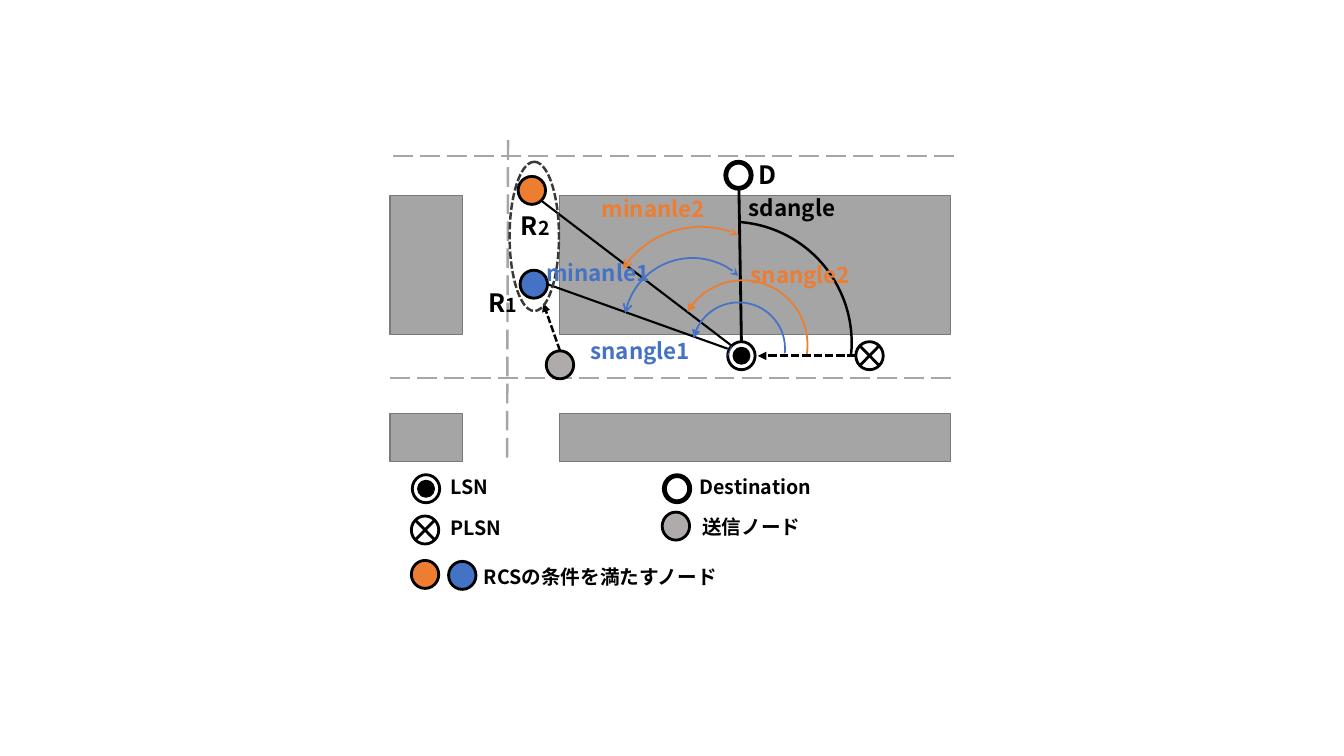
from dataclasses import dataclass

import lxml.etree
import pptx
import pptx.dml.color
import pptx.enum.dml
import pptx.enum.shapes
import pptx.enum.text
import pptx.oxml.ns
import pptx.util

Pt = pptx.util.Pt
SHAPE = pptx.enum.shapes.MSO_SHAPE
DASH = pptx.enum.dml.MSO_LINE
qn = pptx.oxml.ns.qn


@dataclass(frozen=True)
class Theme:
    font: str = "Noto Sans CJK JP"
    black: str = "000000"
    white: str = "FFFFFF"
    block: str = "A5A5A5"
    block_edge: str = "7A7A7A"
    road: str = "A6A6A6"
    sender: str = "AFABAB"
    group_edge: str = "3B3838"
    orange: str = "ED7D31"
    blue: str = "4472C4"
    node_size: int = 18
    angle_size: int = 16
    legend_size: int = 14


THEME = Theme()
NODE_WIDTH, NODE_HEIGHT = 19.6, 20


def rgb(value):
    return pptx.dml.color.RGBColor.from_string(value)


def style_line(line, color, weight, dash=None, head=None, tail=None):
    line.color.rgb = rgb(color)
    line.width = Pt(weight)
    if dash:
        line.dash_style = dash
    outline = line._get_or_add_ln()
    for tag, kind in (("a:headEnd", head), ("a:tailEnd", tail)):
        if kind:
            lxml.etree.SubElement(outline, qn(tag), type=kind)


def add_shape(page, kind, left, top, width, height, fill, color, weight, **ends):
    shape = page.shapes.add_shape(kind, Pt(left), Pt(top), Pt(width), Pt(height))
    shape.shadow.inherit = False
    if fill:
        shape.fill.solid()
        shape.fill.fore_color.rgb = rgb(fill)
    else:
        shape.fill.background()
    style_line(shape.line, color, weight, **ends)
    return shape


def add_node(page, left, top, fill, kind=SHAPE.OVAL):
    return add_shape(page, kind, left, top, NODE_WIDTH, NODE_HEIGHT, fill, THEME.black, 2)


def add_core(page, left, top, width, height, fill):
    """Put a smaller circle in the middle of a node."""
    add_shape(page, SHAPE.OVAL, left + (NODE_WIDTH - width) / 2,
              top + (NODE_HEIGHT - height) / 2, width, height, fill, THEME.black, 2)


def add_lsn(page, left, top):
    ring = add_node(page, left, top, THEME.white)
    add_core(page, left, top, 10.8, 10.8, THEME.black)
    return ring


def add_destination(page, left, top):
    add_node(page, left, top, THEME.black)
    add_core(page, left, top, 16.6, 17.3, THEME.white)


def add_plsn(page, left, top):
    add_node(page, left, top, THEME.white, SHAPE.FLOWCHART_SUMMING_JUNCTION)


def add_line(page, start, end, color, weight, source=None, **ends):
    line = page.shapes.add_connector(
        pptx.enum.shapes.MSO_CONNECTOR.STRAIGHT, *(Pt(value) for value in start + end))
    if source:
        line.begin_connect(source, 0)
    style_line(line.line, color, weight, **ends)
    lxml.etree.SubElement(line._element.spPr, qn("a:effectLst"))


def add_arc(page, left, top, size, rotation, start, end, color, weight, **ends):
    """Draw an arc whose start and end are given in degrees."""
    arc = add_shape(page, SHAPE.ARC, left, top, size, size, None, color, weight, **ends)
    arc.rotation = rotation
    # One degree is 60000 units, and an adjustment of 1.0 is 100000 units
    arc.adjustments[0] = start * 0.6
    arc.adjustments[1] = end * 0.6


def add_label(page, left, top, width, text, size, color=THEME.black, index=""):
    box = page.shapes.add_textbox(Pt(left), Pt(top), Pt(width), Pt(size * 1.2 + 7.5))
    frame = box.text_frame
    frame.word_wrap = True
    frame.auto_size = pptx.enum.text.MSO_AUTO_SIZE.SHAPE_TO_FIT_TEXT
    para = frame.paragraphs[0]
    para.add_run().text = text
    font = para.font
    font.name, font.size, font.bold = THEME.font, Pt(size), True
    font.color.rgb = rgb(color)
    lxml.etree.SubElement(font._element, qn("a:ea"), typeface=THEME.font)
    if index:
        span = para.add_run()
        span.text = index
        span.font.size = Pt(THEME.legend_size)


def add_streets(page):
    for top, height in ((139.7, 99.4), (295.2, 34.6)):
        for left, width in ((399.6, 279.4), (278.6, 51.8)):
            add_shape(page, SHAPE.RECTANGLE, left, top, width, height,
                      THEME.block, THEME.block_edge, 1)
    for start, end in (((278.6, 270), (679, 270)),
                       ((280.8, 111.6), (681.8, 111.6)),
                       ((362.9, 100.1), (362.2, 331.9))):
        add_line(page, start, end, THEME.road, 1.75, dash=DASH.LONG_DASH)


def add_network(page):
    # Nodes
    add_node(page, 371.5, 193, THEME.blue)
    add_node(page, 370.1, 126, THEME.orange)
    add_plsn(page, 611.3, 244.1)
    add_destination(page, 517.7, 115.2)
    lsn = add_lsn(page, 519.8, 244.1)
    sender = add_node(page, 390.2, 250.6, THEME.sender)

    # Links
    add_line(page, (611.3, 254.2), (541.4, 254.2), THEME.black, 2,
             dash=DASH.SQUARE_DOT, tail="triangle")
    add_line(page, (522.7, 247), (519.8, 254.2), THEME.blue, 0.5)
    add_line(page, (519.8, 249.1), (391, 203), THEME.black, 1.5)
    add_line(page, (522.7, 247), (386.6, 143.3), THEME.black, 1.5)
    add_line(page, (529.6, 244.1), (527.8, 133.9), THEME.black, 2, source=lsn)
    add_line(page, (400, 250.6), (388.1, 216.7), THEME.black, 1.75, source=sender,
             dash=DASH.SQUARE_DOT, tail="triangle")

    # Ring around both candidate nodes
    ring = add_shape(page, SHAPE.OVAL, 328.3, 151.2, 106.6, 35.3, None,
                     THEME.group_edge, 1.75, dash=DASH.SQUARE_DOT)
    ring.rotation = 90

    # Node names
    add_label(page, 535, 110.2, 27.4, "D", THEME.node_size)
    add_label(page, 342, 201.6, 46, "R", THEME.node_size, index="1")
    add_label(page, 365, 146.9, 59.8, "R", THEME.node_size, index="2")


def add_angles(page):
    add_arc(page, 484.6, 200.2, 92.2, 2.7, 207.98, 5.5, THEME.orange, 1.25, head="triangle")
    add_arc(page, 494.6, 216, 66.2, 352.6, 200.49, 13.15, THEME.blue, 1.25, head="triangle")
    add_arc(page, 435.6, 158.4, 172.8, 0, 273.72, 5.5, THEME.black, 1.75)
    add_arc(page, 434.2, 162, 132.5, 279.1, 294.09, 14.71, THEME.orange, 1.25,
            head="arrow", tail="stealth")
    add_arc(page, 445.7, 184.3, 97.9, 290.6, 260.67, 21.71, THEME.blue, 1.25,
            head="arrow", tail="stealth")
    for left, top, width, text, color in (
            (527.8, 135.4, 77.8, "sdangle", THEME.black),
            (414.7, 237.6, 89.3, "snangle1", THEME.blue),
            (529.2, 183.2, 89.3, "snangle2", THEME.orange),
            (422.6, 136.1, 92.9, "minanle2", THEME.orange),
            (383, 181.4, 92.9, "minanle1", THEME.blue)):
        add_label(page, left, top, width, text, THEME.angle_size, color)


def add_legend(page):
    add_lsn(page, 294.5, 339.1)
    add_destination(page, 473.8, 339.1)
    add_plsn(page, 293.8, 368.6)
    add_node(page, 473, 365.8, THEME.sender)
    add_node(page, 293.8, 400.3, THEME.orange)
    add_node(page, 320.4, 401, THEME.blue)
    for left, top, width, text in (
            (314.6, 335.5, 157.7, "LSN"),
            (492.5, 335.5, 157.7, "Destination"),
            (314.6, 365, 157.7, "PLSN"),
            (494.6, 364.3, 157.7, "送信ノード"),
            (338.4, 399.6, 205.2, "RCSの条件を満たすノード")):
        add_label(page, left, top, width, text, THEME.legend_size)


def main():
    deck = pptx.Presentation()
    deck.slide_width, deck.slide_height = Pt(960), Pt(540)
    page = deck.slides.add_slide(deck.slide_layouts[6])
    add_streets(page)
    add_network(page)
    add_angles(page)
    add_legend(page)
    deck.save("out.pptx")


if __name__ == "__main__":
    main()
